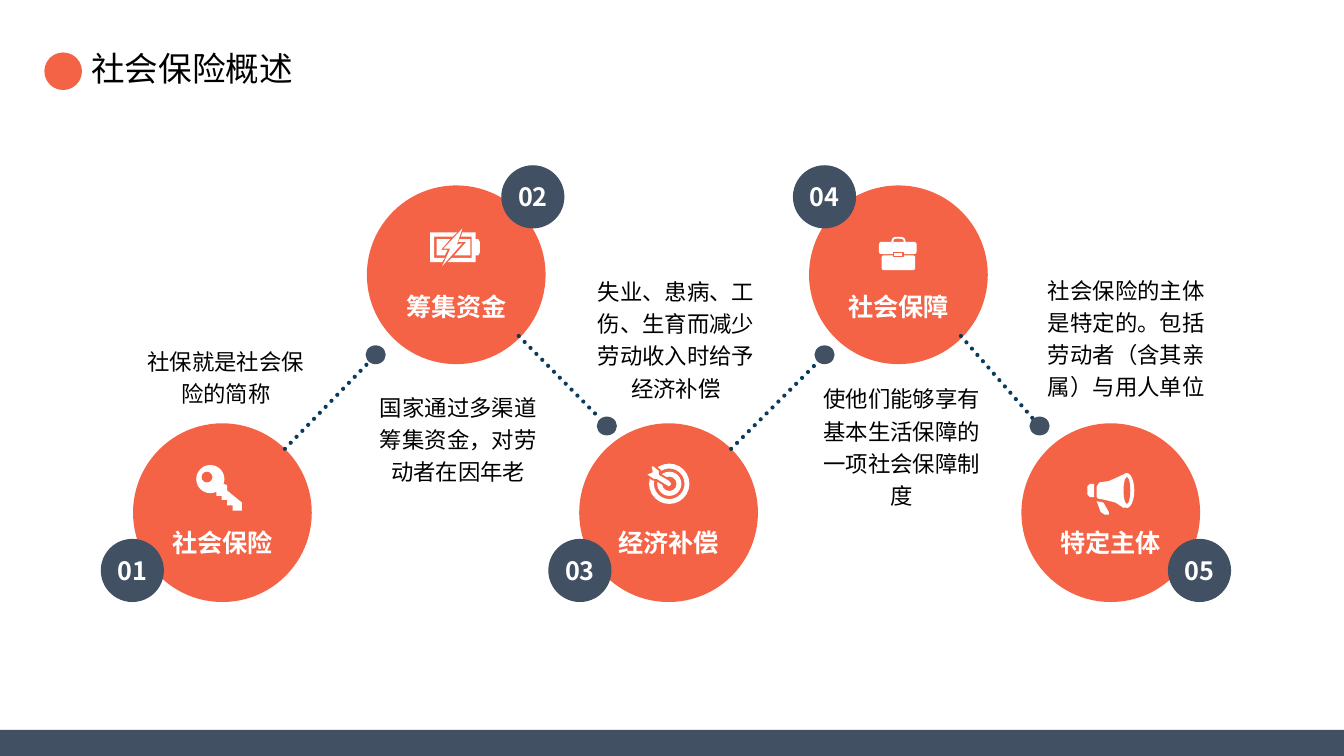
from lxml.etree import SubElement
from pptx import Presentation
from pptx.dml.color import RGBColor
from pptx.enum.dml import MSO_LINE
from pptx.enum.shapes import MSO_CONNECTOR, MSO_SHAPE as SHAPE
from pptx.enum.text import MSO_ANCHOR as ANCHOR, MSO_AUTO_SIZE as AUTO, PP_ALIGN as ALIGN
from pptx.oxml.ns import qn
from pptx.util import Inches, Pt

CORAL, SLATE, NAVY, WHITE, BLACK = "F46346", "415163", "093B5C", "FFFFFF", "000000"
FONT = "Noto Sans CJK SC"
UPPER, LOWER = 1.38, 3.15
DISC, BADGE = 1.33, 0.47

# title, disc left, disc top, badge left, paragraphs, paragraph box
STEPS = [
    ("社会保险", 0.99, LOWER, 0.75, ["社保就是社会保险的简称"], (0.99, 2.5, 1.38, 0.59)),
    ("筹集资金", 2.73, UPPER, 3.73, ["国家通过多渠道筹集资金，对劳动者在因年老"],
     (2.72, 2.84, 1.38, 0.81)),
    ("经济补偿", 4.31, LOWER, 4.08, ["失业、患病、工伤、生育而减少劳动收入时给予经济补偿"],
     (4.34, 1.98, 1.38, 1.05)),
    ("社会保障", 6.02, UPPER, 5.9, ["使他们能够享有", "基本生活保障的一项社会保障制度"],
     (6, 2.78, 1.42, 1.07)),
    ("特定主体", 7.6, LOWER, 8.69, ["社会保险的主体是特定的。包括劳动者（含其亲属）与用人单位"],
     (7.67, 1.97, 1.42, 1.07)),
]
DOT_LEFTS = [2.72, 4.44, 6.06, 7.66]

KEY_SHAFT = [(1.61, 3.65), (1.66, 3.6), (1.69, 3.61), (1.69, 3.65), (1.8, 3.74), (1.8, 3.8),
             (1.73, 3.8), (1.73, 3.76), (1.69, 3.76), (1.69, 3.72), (1.65, 3.72),
             (1.65, 3.69), (1.61, 3.69)]
BATTERY = [
    [(3.23, 1.92), (3.23, 1.76), (3.37, 1.76), (3.4, 1.73), (3.2, 1.73), (3.2, 1.95),
     (3.29, 1.95), (3.31, 1.92)],
    [(3.54, 1.78), (3.54, 1.73), (3.44, 1.73), (3.43, 1.76), (3.51, 1.76), (3.51, 1.92),
     (3.36, 1.92), (3.33, 1.95), (3.54, 1.95), (3.54, 1.9), (3.56, 1.9), (3.57, 1.88),
     (3.57, 1.8), (3.56, 1.78)],
    [(3.25, 1.78), (3.25, 1.9), (3.31, 1.9), (3.33, 1.86), (3.28, 1.86), (3.35, 1.78)],
    [(3.47, 1.8), (3.38, 1.9), (3.5, 1.9), (3.5, 1.78), (3.42, 1.78), (3.41, 1.8)],
    [(3.4, 1.82), (3.44, 1.7), (3.3, 1.85), (3.35, 1.85), (3.29, 1.98), (3.44, 1.81)],
]
DART = [(4.98, 3.63), (4.88, 3.57), (4.86, 3.57), (4.8, 3.53), (4.85, 3.51), (4.84, 3.47),
        (4.86, 3.46), (4.91, 3.5), (4.91, 3.53), (4.98, 3.57), (5, 3.59), (5, 3.61)]
HORN = [(8.16, 3.62), (8.18, 3.59), (8.25, 3.58), (8.34, 3.54), (8.38, 3.52), (8.38, 3.77),
        (8.36, 3.78), (8.3, 3.74), (8.22, 3.72), (8.17, 3.71), (8.16, 3.7)]
HORN_GRIP = [(8.16, 3.73), (8.21, 3.74), (8.25, 3.81), (8.25, 3.83), (8.22, 3.83), (8.19, 3.81)]
HORN_BACK = [(8.14, 3.7), (8.11, 3.7), (8.09, 3.68), (8.09, 3.62), (8.11, 3.6), (8.14, 3.6)]


def color(value):
    return RGBColor.from_string(value)


def paint(sp, fill, line=None, width=1):
    sp.shadow.inherit = False
    if fill:
        sp.fill.solid()
        sp.fill.fore_color.rgb = color(fill)
    else:
        sp.fill.background()
    if line:
        sp.line.color.rgb = color(line)
        sp.line.width = Pt(width)
    else:
        sp.line.fill.background()


def add_preset(s, kind, box, fill, line=None, width=1, adjust=None):
    sp = s.shapes.add_shape(kind, *map(Inches, box))
    if adjust is not None:
        sp.adjustments[0] = adjust
    paint(sp, fill, line, width)
    return sp


def add_polygon(s, points, line=None):
    start, *rest = [(Inches(x), Inches(y)) for x, y in points]
    builder = s.shapes.build_freeform(*start)
    builder.add_line_segments(rest, close=True)
    paint(builder.convert_to_shape(), WHITE, line)


def write(tf, lines, size, fill, font=FONT, bold=False, align=ALIGN.CENTER, spacing=1):
    tf.text = "\n".join(lines)
    for p in tf.paragraphs:
        p.alignment = align
        p.line_spacing = spacing
        for r in p.runs:
            r.font.size, r.font.bold, r.font.name = Pt(size), bold, font
            r.font.color.rgb = color(fill)
            SubElement(r._r.get_or_add_rPr(), qn("a:ea"), typeface=FONT)


def add_text(s, box, lines, size, fill, **style):
    tf = s.shapes.add_textbox(*map(Inches, box)).text_frame
    tf.word_wrap = True
    write(tf, lines, size, fill, **style)


def add_header(s, text):
    title = s.shapes.title
    title.left, title.top, title.width, title.height = map(Inches, (0.58, 0.31, 1.72, 0.4))
    tf = title.text_frame
    tf.word_wrap, tf.auto_size, tf.vertical_anchor = False, AUTO.NONE, ANCHOR.TOP
    write(tf, [text], 18, BLACK, font="Arial", align=ALIGN.LEFT)
    add_preset(s, SHAPE.OVAL, (0.33, 0.39, 0.28, 0.28), CORAL)


def add_step(s, number, title, left, top, badge_left):
    """Disc with its title and numbered badge; the badge sits outward of the row."""
    upper = top == UPPER
    add_preset(s, SHAPE.OVAL, (left, top, DISC, DISC), CORAL)
    badge_top = top - 0.15 if upper else top + DISC - BADGE
    badge = add_preset(s, SHAPE.OVAL, (badge_left, badge_top, BADGE, BADGE), SLATE)
    tf = badge.text_frame
    tf.margin_left = tf.margin_right = tf.margin_top = tf.margin_bottom = 0
    tf.vertical_anchor = ANCHOR.MIDDLE
    write(tf, [f"{number:02}"], 13.5, WHITE, bold=True)
    label_top = top + (0.63 if upper else 0.61)
    add_text(s, (left, label_top, DISC, 0.4), [title], 13.5, WHITE, bold=True, spacing=1.5)


def add_link(s, left, top, dot_left):
    """Dotted line from a disc to a dot beside the next disc."""
    start_y, end_y, dot_y = (2.5, 3.12, 3.1) if top == UPPER else (3.34, 2.69, 2.57)
    ends = (left + 1.13, start_y, dot_left + 0.03, end_y)
    c = s.shapes.add_connector(MSO_CONNECTOR.STRAIGHT, *map(Inches, ends))
    c.line.color.rgb = color(NAVY)
    c.line.width = Pt(2.25)
    c.line.dash_style = MSO_LINE.ROUND_DOT
    props = c._element.spPr
    props.find(qn("a:ln")).set("cap", "rnd")
    SubElement(props, qn("a:effectLst"))
    add_preset(s, SHAPE.OVAL, (dot_left, dot_y, 0.15, 0.14), SLATE)


def add_key(s):
    add_preset(s, SHAPE.OVAL, (1.46, 3.46, 0.21, 0.21), WHITE)
    add_preset(s, SHAPE.OVAL, (1.5, 3.51, 0.08, 0.08), CORAL)
    add_polygon(s, KEY_SHAFT)


def add_target(s):
    add_preset(s, SHAPE.DONUT, (4.83, 3.45, 0.3, 0.3), WHITE, adjust=0.12)
    add_preset(s, SHAPE.DONUT, (4.89, 3.51, 0.18, 0.18), WHITE, adjust=0.2)
    add_polygon(s, DART, line=CORAL)


def add_briefcase(s):
    add_preset(s, SHAPE.ROUNDED_RECTANGLE, (6.64, 1.77, 0.09, 0.06), None, WHITE, 1, 0.4)
    add_preset(s, SHAPE.ROUNDED_RECTANGLE, (6.54, 1.8, 0.28, 0.09), WHITE, adjust=0.2)
    add_preset(s, SHAPE.ROUNDED_RECTANGLE, (6.56, 1.9, 0.25, 0.11), WHITE, adjust=0.15)
    add_preset(s, SHAPE.RECTANGLE, (6.65, 1.88, 0.07, 0.03), WHITE, CORAL, 0.75)


def add_megaphone(s):
    for points in (HORN, HORN_GRIP, HORN_BACK):
        add_polygon(s, points)
    add_preset(s, SHAPE.OVAL, (8.33, 3.52, 0.11, 0.26), WHITE)
    add_preset(s, SHAPE.OVAL, (8.36, 3.55, 0.05, 0.2), CORAL)


def main():
    prs = Presentation()
    prs.slide_width = Inches(10)
    prs.slide_height = prs.slide_width * 9 // 16
    s = prs.slides.add_slide(prs.slide_layouts[5])
    add_header(s, "社会保险概述")
    add_preset(s, SHAPE.RECTANGLE, (0, 5.43, 10.01, 0.21), SLATE)
    for number, (title, left, top, badge_left, lines, box) in enumerate(STEPS, 1):
        add_step(s, number, title, left, top, badge_left)
        add_text(s, box, lines, 12, BLACK, spacing=1.2)
    for (_, left, top, *_), dot_left in zip(STEPS, DOT_LEFTS):
        add_link(s, left, top, dot_left)
    add_key(s)
    for points in BATTERY:
        add_polygon(s, points)
    add_target(s)
    add_briefcase(s)
    add_megaphone(s)
    prs.save("out.pptx")


if __name__ == "__main__":
    main()
